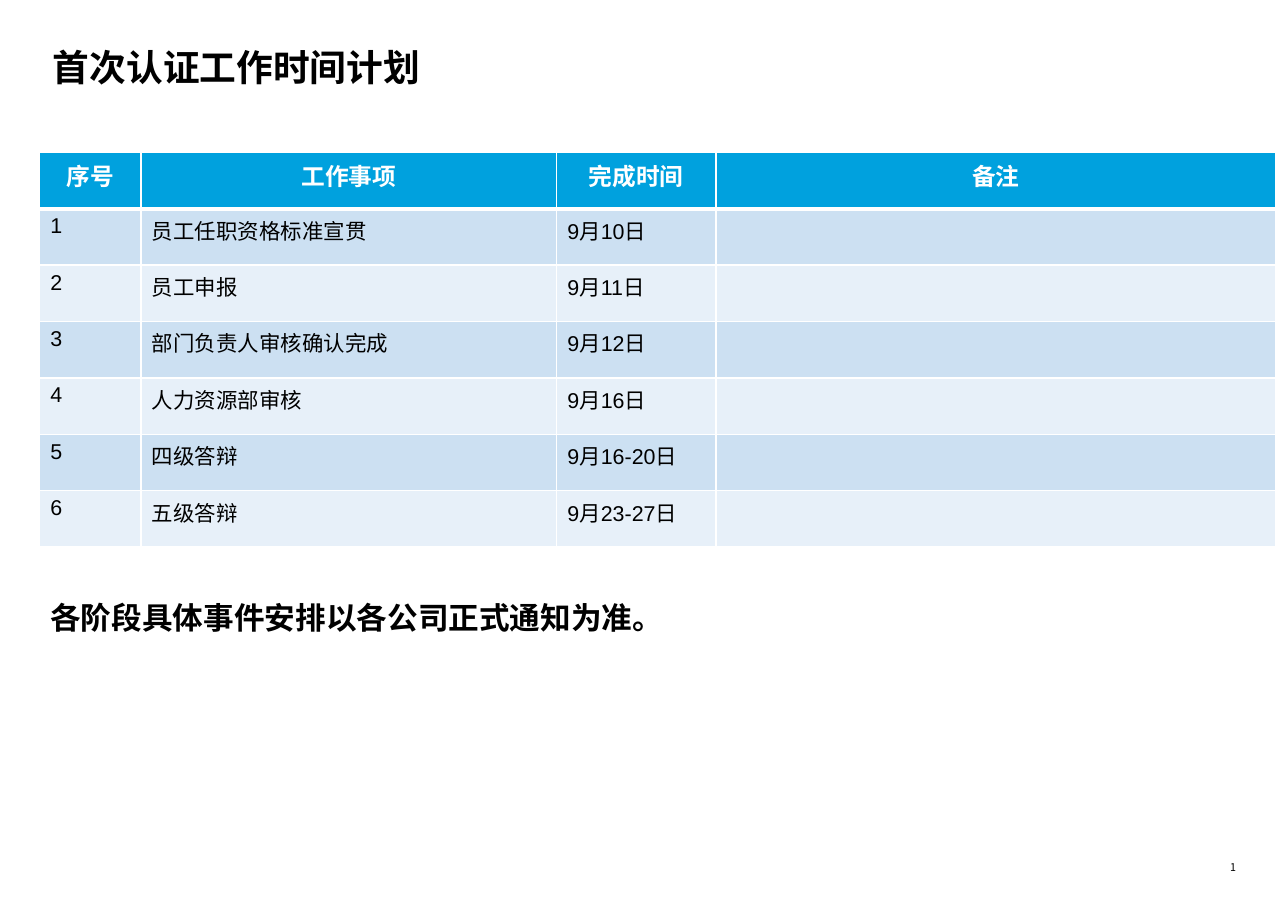
from lxml.etree import SubElement
from pptx import Presentation
from pptx.dml.color import RGBColor
from pptx.enum.text import MSO_AUTO_SIZE as AutoSize, PP_ALIGN as Align
from pptx.oxml.ns import qn
from pptx.util import Cm, Pt

COLORS = {
    "text": "000000",
    "white": "FFFFFF",
    "header": "00A1DE",
    "odd": "CCE0F2",
    "even": "E7F0F9",
}
CJK = "Noto Sans CJK SC"


def add_run(paragraph, text, size, color="text", bold=False, font="Arial"):
    run = paragraph.add_run()
    run.text = text
    run.font.size = Pt(size)
    run.font.bold = bold
    run.font.color.rgb = RGBColor.from_string(COLORS[color])
    run.font.name = font
    SubElement(run.font._element, qn("a:ea"), typeface=CJK)


def add_border(cell, side, points):
    line = SubElement(cell._tc.get_or_add_tcPr(), qn(f"a:ln{side}"), w=str(Pt(points)))
    fill = SubElement(line, qn("a:solidFill"))
    SubElement(fill, qn("a:srgbClr"), val=COLORS["white"])


prs = Presentation()
prs.slide_width, prs.slide_height = Cm(29.7), Cm(21)
slide = prs.slides.add_slide(prs.slide_layouts[6])

texts = [
    ("1", (27.74, 19.84, 0.76, 0.3), 7, False, CJK, Align.RIGHT, 1, False),
    ("首次认证工作时间计划", (1.22, 0.97, 25.37, 2.13), 24, True, CJK, Align.LEFT, 1.06, False),
    ("各阶段具体事件安排以各公司正式通知为准。", (0.91, 13.69, 26.95, 1.12), 20, True, "Arial", Align.LEFT, 1, True),
]
for text, place, size, bold, font, align, spacing, padded in texts:
    frame = slide.shapes.add_textbox(*map(Cm, place)).text_frame
    frame.word_wrap = True
    frame.auto_size = AutoSize.NONE
    if not padded:
        frame.margin_left = frame.margin_right = frame.margin_top = frame.margin_bottom = 0
    paragraph = frame.paragraphs[0]
    paragraph.alignment = align
    paragraph.line_spacing = spacing
    add_run(paragraph, text, size, bold=bold, font=font)

headings = ["序号", "工作事项", "完成时间", "备注"]
tasks = [
    ("员工任职资格标准宣贯", "9月10日"),
    ("员工申报", "9月11日"),
    ("部门负责人审核确认完成", "9月12日"),
    ("人力资源部审核", "9月16日"),
    ("四级答辩", "9月16-20日"),
    ("五级答辩", "9月23-27日"),
]
plan = [headings] + [[str(n), task, date, ""] for n, (task, date) in enumerate(tasks, 1)]
widths = [2.34, 9.58, 3.68, 12.9]
row_height = 1.3

schedule = slide.shapes.add_table(
    len(plan), len(widths), Cm(0.91), Cm(3.51), Cm(sum(widths)), Cm(row_height * len(plan))
).table
for column, width in zip(schedule.columns, widths):
    column.width = Cm(width)

for r, entries in enumerate(plan):
    schedule.rows[r].height = Cm(row_height)
    is_header = r == 0
    band = "header" if is_header else "odd" if r % 2 else "even"
    for c, entry in enumerate(entries):
        cell = schedule.cell(r, c)
        add_border(cell, "L", 1)
        add_border(cell, "R", 1)
        add_border(cell, "T", 3 if r == 1 else 1)
        add_border(cell, "B", 3 if is_header else 1)
        cell.fill.solid()
        cell.fill.fore_color.rgb = RGBColor.from_string(COLORS[band])
        paragraph = cell.text_frame.paragraphs[0]
        if is_header:
            paragraph.alignment = Align.CENTER
            add_run(paragraph, entry, 15.5, "white", True)
        elif entry:
            add_run(paragraph, entry, 14)

prs.save("out.pptx")
